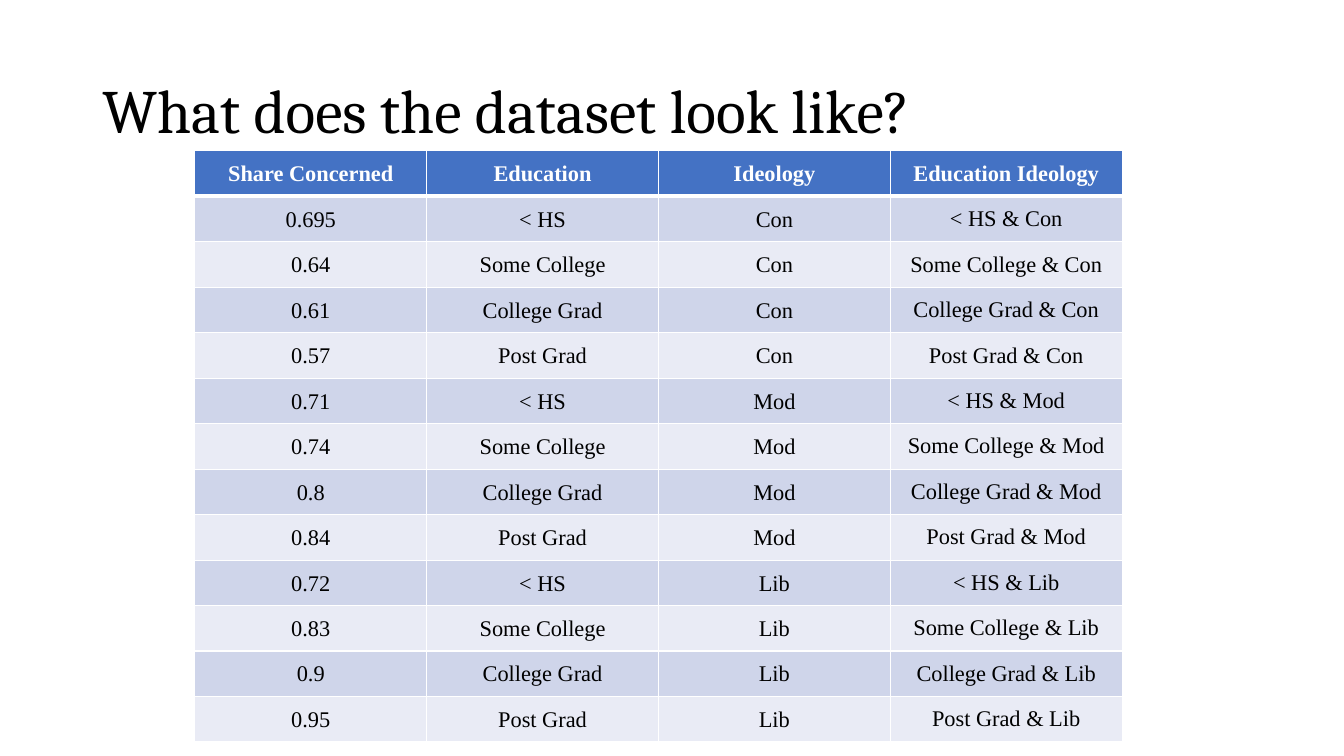
from dataclasses import dataclass
from itertools import product

from lxml.etree import SubElement
from pptx import Presentation
from pptx.dml.color import RGBColor as Rgb
from pptx.enum.text import MSO_ANCHOR as Anchor, PP_ALIGN as Align
from pptx.oxml.ns import qn
from pptx.util import Cm, Pt


@dataclass(frozen=True)
class Theme:
    """Colours, fonts and sizes of the slide."""
    ink: str = "000000"
    paper: str = "FFFFFF"
    header: str = "4472C4"
    bands: tuple = ("CFD5EA", "E9EBF5")
    title_font: str = "Cambria"
    table_font: str = "Times New Roman"
    title_size: int = 44
    table_size: int = 16
    rule: int = 1
    header_rule: int = 3


THEME = Theme()
TITLE = "What does the dataset look like?"
HEADINGS = ("Share Concerned", "Education", "Ideology", "Education Ideology")
IDEOLOGIES = ("Con", "Mod", "Lib")
EDUCATIONS = ("< HS", "Some College", "College Grad", "Post Grad")
SHARES = ("0.695", "0.64", "0.61", "0.57", "0.71", "0.74",
          "0.8", "0.84", "0.72", "0.83", "0.9", "0.95")
TIGHT = {"margin_left": Cm(0.03), "margin_right": Cm(0.03),
         "margin_top": Cm(0.03), "margin_bottom": 0}


def apply_format(target, values):
    """Set each named attribute of the target."""
    for name, value in values.items():
        setattr(target, name, value)


def write_text(frame, text, font, colour, paragraph_format):
    """Write one formatted paragraph into a text frame."""
    paragraph = frame.paragraphs[0]
    apply_format(paragraph, paragraph_format)
    run = paragraph.add_run()
    run.text = text
    apply_format(run.font, font)
    run.font.color.rgb = Rgb.from_string(colour)


def rule_cell(cell, widths):
    """Draw the cell's borders from a dict of side and width in points."""
    properties = cell._tc.get_or_add_tcPr()
    for position, (side, width) in enumerate(widths.items()):
        border = SubElement(properties, qn(f"a:ln{side}"), w=str(Pt(width)))
        fill = SubElement(border, qn("a:solidFill"))
        SubElement(fill, qn("a:srgbClr"), val=THEME.paper)
        properties.insert(position, border)


def add_title(slide, box):
    """Place the slide's title in the box."""
    frame = slide.shapes.add_textbox(*box).text_frame
    apply_format(frame, {"word_wrap": True, "vertical_anchor": Anchor.MIDDLE})
    font = {"name": THEME.title_font, "size": Pt(THEME.title_size)}
    write_text(frame, TITLE, font, THEME.ink, {"line_spacing": 0.9})


def dataset_rows():
    """Return the headings followed by one record per group."""
    groups = product(IDEOLOGIES, EDUCATIONS)
    return [HEADINGS] + [
        (share, education, ideology, f"{education} & {ideology}")
        for share, (ideology, education) in zip(SHARES, groups)]


def add_dataset(slide, box):
    """Fill the box with the banded dataset table."""
    records = dataset_rows()
    table = slide.shapes.add_table(len(records), len(HEADINGS), *box).table
    for row, record in enumerate(records):
        is_header = row == 0
        background = THEME.header if is_header else THEME.bands[(row - 1) % 2]
        font = {"name": THEME.table_font, "size": Pt(THEME.table_size),
                "bold": is_header}
        widths = {"L": THEME.rule, "R": THEME.rule,
                  "T": THEME.header_rule if row == 1 else THEME.rule,
                  "B": THEME.header_rule if is_header else THEME.rule}
        for column, text in enumerate(record):
            cell = table.cell(row, column)
            cell.vertical_anchor = Anchor.MIDDLE
            if not is_header and column < len(HEADINGS) - 1:
                apply_format(cell, TIGHT)
            cell.fill.solid()
            cell.fill.fore_color.rgb = Rgb.from_string(background)
            rule_cell(cell, widths)
            write_text(cell.text_frame, text, font,
                       THEME.paper if is_header else THEME.ink,
                       {"alignment": Align.CENTER})


def main():
    """Build the slide and save it."""
    deck = Presentation()
    apply_format(deck, {"slide_width": Cm(33.87), "slide_height": Cm(19.05)})
    slide = deck.slides.add_slide(deck.slide_layouts[6])
    add_title(slide, (Cm(2.33), Cm(1.01), Cm(29.21), Cm(3.68)))
    add_dataset(slide, (Cm(4.91), Cm(3.8), Cm(23.37), Cm(14.91)))
    deck.save("out.pptx")


if __name__ == "__main__":
    main()
